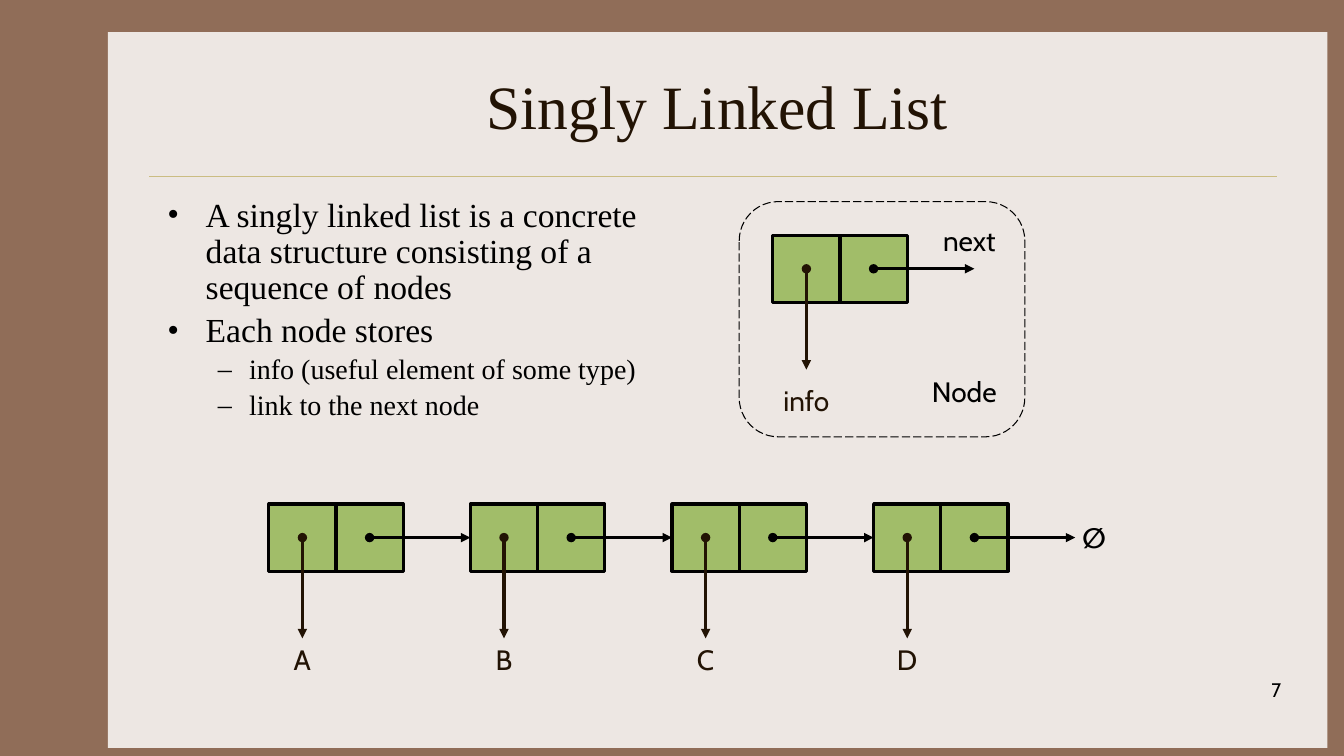
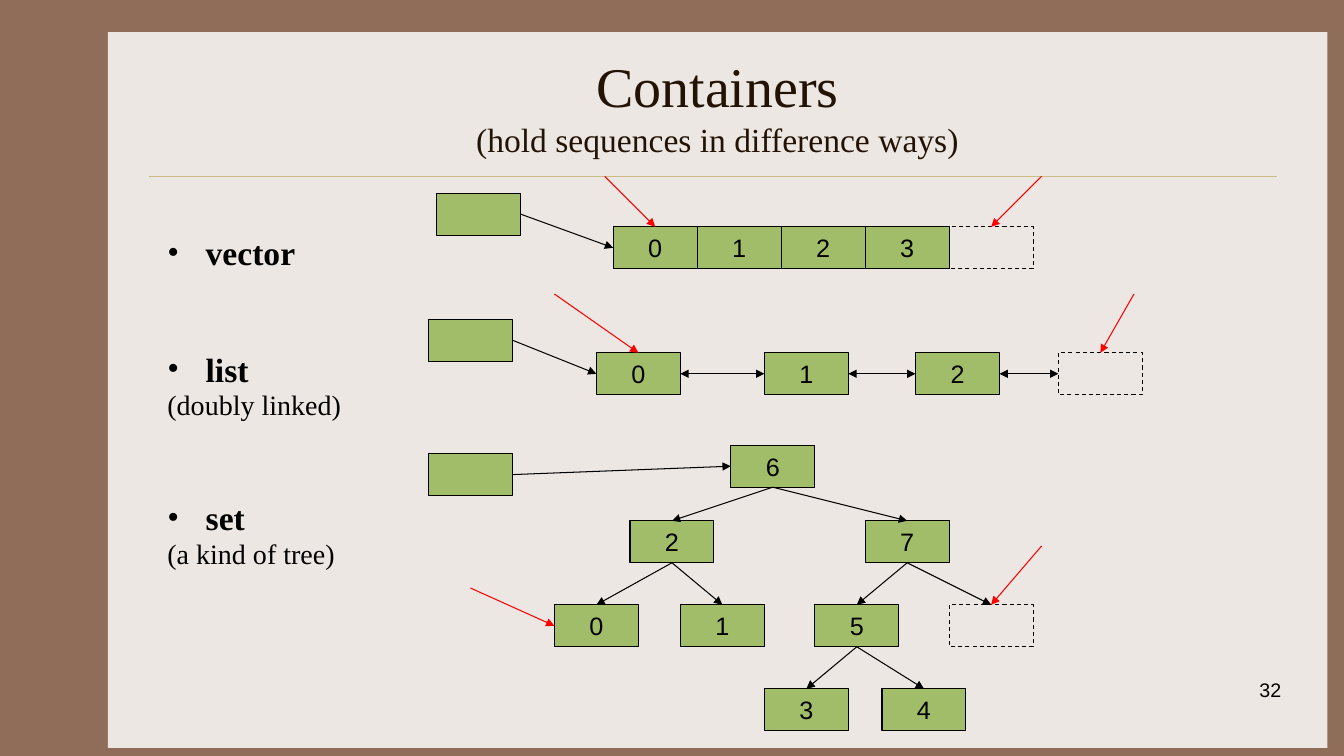
from itertools import pairwise

from lxml.etree import SubElement
from pptx import Presentation
from pptx.dml.color import RGBColor
from pptx.enum.dml import MSO_LINE
from pptx.enum.shapes import MSO_CONNECTOR, MSO_SHAPE
from pptx.enum.text import MSO_ANCHOR, PP_ALIGN
from pptx.oxml.ns import qn
from pptx.util import Inches, Pt

COLORS = {
    "frame": "906D58", "panel": "EDE7E3", "rule": "CBBD83", "title": "221304",
    "ink": "000000", "cell": "A1BD69", "iterator": "FF0000",
}
SERIF, SANS, LABEL = "Times New Roman", "Arial", "Cabin"

# The slide is a grid of 160 columns by 90 rows, twelve to the inch
COLUMNS, ROWS = 160, 90
UNIT = Inches(1) / 12
TOP, LEFT, BOTTOM, RIGHT = range(4)
TITLE_BOX = (18.75, 5, 133.33, 15)
NUMBER_BOX = (120.4, 80.1, 33.3, 6)
CELL_W, CELL_H = 10, 5
NODE_CELL = 8
LABEL_W, LABEL_H = 14, 5.2


def grid(*lengths):
    return [round(length * UNIT) for length in lengths]


def rgb(name):
    return RGBColor.from_string(COLORS[name])


# ---- Basic parts ----
def add_run(paragraph, text, size, font, color="ink", bold=False):
    run = paragraph.add_run()
    run.text = text
    run.font.size, run.font.name, run.font.bold = Pt(size), font, bold
    run.font.color.rgb = rgb(color)


def text_frame(slide, box, wrap=True):
    frame = slide.shapes.add_textbox(*grid(*box)).text_frame
    frame.word_wrap = wrap
    return frame


def add_label(slide, text, center, top, color="ink", bold=False):
    box = (center - LABEL_W / 2, top, LABEL_W, LABEL_H)
    paragraph = text_frame(slide, box, wrap=False).paragraphs[0]
    paragraph.alignment = PP_ALIGN.CENTER
    add_run(paragraph, text, 20, LABEL, color, bold)


def add_box(slide, box, fill=None, line="ink", width=0.75, dash=None,
            preset=MSO_SHAPE.RECTANGLE):
    shape = slide.shapes.add_shape(preset, *grid(*box))
    shape.shadow.inherit = False
    if fill:
        shape.fill.solid()
        shape.fill.fore_color.rgb = rgb(fill)
    else:
        shape.fill.background()
    if line:
        shape.line.color.rgb = rgb(line)
        shape.line.width = Pt(width)
        shape.line.dash_style = dash
    else:
        shape.line.fill.background()
    return shape


def add_line(slide, start, end, color="ink", width=0.75, head=None, tail="triangle"):
    """Each end is a grid point, or a shape with the side to join."""
    points = [(0, 0) if hasattr(place[0], "shape_id") else place
              for place in (start, end)]
    line = slide.shapes.add_connector(
        MSO_CONNECTOR.STRAIGHT, *grid(*points[0], *points[1]))
    for place, point, join in zip((start, end), points,
                                  (line.begin_connect, line.end_connect)):
        if place is not point:
            join(*place)
    line.line.color.rgb = rgb(color)
    line.line.width = Pt(width)
    outline = line.line._get_or_add_ln()
    for tag, kind in (("a:headEnd", head), ("a:tailEnd", tail)):
        if kind:
            SubElement(outline, qn(tag), type=kind)
    SubElement(line._element.spPr, qn("a:effectLst"))


def add_bullets(slide, box, items, spacing):
    """Items are (text, size, bullet, bold, left margin, hang, space before)."""
    frame = text_frame(slide, box)
    for index, (text, size, bullet, bold, margin, hang, before) in enumerate(items):
        paragraph = frame.add_paragraph() if index else frame.paragraphs[0]
        properties = paragraph._p.get_or_add_pPr()
        properties.set("marL", str(Inches(margin)))
        properties.set("indent", str(-Inches(hang)))
        if bullet:
            SubElement(properties, qn("a:buFont"), typeface=SERIF)
            SubElement(properties, qn("a:buChar"), char=bullet)
        else:
            SubElement(properties, qn("a:buNone"))
        paragraph.line_spacing = spacing
        paragraph.space_before = Pt(before)
        add_run(paragraph, text, size, SERIF, bold=bold)


# ---- Shared slide frame ----
def new_slide(prs, title_lines, number, number_font):
    slide = prs.slides.add_slide(prs.slide_layouts[6])
    slide.background.fill.solid()
    slide.background.fill.fore_color.rgb = rgb("frame")
    add_box(slide, (12.84, 3.84, 145.2, 85.2), "panel", line=None)
    add_line(slide, (17.75, 21), (152, 21), "rule", 0.25, tail=None)

    frame = text_frame(slide, TITLE_BOX)
    frame.vertical_anchor = MSO_ANCHOR.MIDDLE
    heading = frame.paragraphs[0]
    heading.alignment = PP_ALIGN.CENTER
    for index, (text, size) in enumerate(title_lines):
        if index:
            heading.add_line_break()
        add_run(heading, text, size, SERIF, "title")

    page = text_frame(slide, NUMBER_BOX).paragraphs[0]
    page.alignment = PP_ALIGN.RIGHT
    add_run(page, number, 14, number_font)
    return slide


# ---- Singly linked list ----
def add_node_cells(slide, col, row):
    return [add_box(slide, (col + side * NODE_CELL, row, NODE_CELL, NODE_CELL),
                    "cell", width=2.25) for side in (0, 1)]


def add_node_pointers(slide, col, row, following=None):
    info_x, next_x, middle = col + 4, col + 12, row + 4
    add_line(slide, (info_x, middle), (info_x, middle + 12), "title", 2.25, "oval")
    target = (following, LEFT) if following else (next_x + 12, middle)
    add_line(slide, (next_x, middle), target, "ink", 2.25, "oval")


def add_node_legend(slide, col, row):
    add_box(slide, (col, row, 34, 28), dash=MSO_LINE.LONG_DASH,
            preset=MSO_SHAPE.ROUNDED_RECTANGLE)
    add_node_cells(slide, col + 4, row + 4)
    add_node_pointers(slide, col + 4, row + 4)
    add_label(slide, "next", col + 27.4, row + 2)
    add_label(slide, "info", col + 8, row + 21.1, "title")
    add_label(slide, "Node", col + 26.8, row + 20)


def add_chain(slide, col, row, values, step=24):
    starts = [col + index * step for index in range(len(values))]
    info_cells = [add_node_cells(slide, start, row)[0] for start in starts]
    for start, value, following in zip(starts, values, info_cells[1:] + [None]):
        add_node_pointers(slide, start, row, following)
        add_label(slide, value, start + 4, row + 15.9, "title")
    add_label(slide, "∅", starts[-1] + 26.25, row + 1.4, bold=True)


def build_linked_list(prs):
    slide = new_slide(prs, [("Singly Linked List", 44)], "7", LABEL)
    top_level, sub_level = (0.38, 0.38), (0.81, 0.31)
    add_bullets(slide, (18.75, 23, 64.5, 33), [
        ("A singly linked list is a concrete data structure consisting of a "
         "sequence of nodes", 24, "•", False, *top_level, 0),
        ("Each node stores", 24, "•", False, *top_level, 4.8),
        ("info (useful element of some type)", 20, "–", False, *sub_level, 4),
        ("link to the next node", 20, "–", False, *sub_level, 4),
    ], 0.9)
    add_node_legend(slide, 88, 24)
    add_chain(slide, 32, 60, "ABCD")


# ---- Containers ----
def add_element(slide, col, row, value=""):
    """A filled cell; a value of None gives the dashed past-the-end cell."""
    box = (col, row, CELL_W, CELL_H)
    if value is None:
        return add_box(slide, box, dash=MSO_LINE.DASH)
    cell = add_box(slide, box, "cell")
    if value:
        frame = cell.text_frame
        frame.word_wrap = False
        frame.vertical_anchor = MSO_ANCHOR.MIDDLE
        frame.paragraphs[0].alignment = PP_ALIGN.CENTER
        add_run(frame.paragraphs[0], value, 18, SANS)
    return cell


def add_access(slide, handle_at, first, iterators):
    """The container handle and the begin and end iterators."""
    handle = add_element(slide, *handle_at)
    add_line(slide, (handle, RIGHT), (first, LEFT))
    for start, cell, side in iterators:
        add_line(slide, start, (cell, side), "iterator")


def add_vector(slide, col, row):
    cells = [add_element(slide, col + 21 + index * CELL_W, row + 6, value)
             for index, value in enumerate(["0", "1", "2", "3", None])]
    add_access(slide, (col, row + 2), cells[0], [
        ((col + 20, row), cells[0], TOP), ((col + 72, row), cells[-1], TOP)])


def add_list(slide, col, row):
    cells = [add_element(slide, col + offset, row + 7, value)
             for offset, value in ((20, "0"), (40, "1"), (58, "2"), (75, None))]
    for before, after in pairwise(cells):
        add_line(slide, (before, RIGHT), (after, LEFT), head="triangle")
    add_access(slide, (col, row + 3), cells[0], [
        ((col + 15, row), cells[0], TOP), ((col + 84, row), cells[-1], TOP)])


def add_set(slide, col, row):
    places = {"6": (36, 0), "2": (24, 9), "7": (52, 9), "0": (15, 19),
              "1": (30, 19), "5": (46, 19), None: (62, 19),
              "3": (40, 29), "4": (54, 29)}
    children = {"6": ("2", "7"), "2": ("0", "1"), "7": ("5", None), "5": ("3", "4")}
    cells = {value: add_element(slide, col + x, row + y, value)
             for value, (x, y) in places.items()}
    for parent, pair in children.items():
        for child in pair:
            add_line(slide, (cells[parent], BOTTOM), (cells[child], TOP))
    add_access(slide, (col, row + 1), cells["6"], [
        ((col + 5, row + 17), cells["0"], LEFT),
        ((col + 73, row + 12), cells[None], TOP)])


def build_containers(prs):
    slide = new_slide(prs, [("Containers", 40),
                            ("(hold sequences in difference ways)", 24)], "32", SANS)
    hanging, group_gap = (0.38, 0.38), 60
    add_bullets(slide, (18.75, 28, 133.33, 54), [
        ("vector", 24, "•", True, *hanging, 0),
        ("list", 24, "•", True, *hanging, group_gap),
        ("(doubly linked)", 20, None, False, *hanging, 4),
        ("set", 24, "•", True, *hanging, group_gap),
        ("(a kind of tree)", 20, None, False, *hanging, 4),
    ], 0.8)
    add_vector(slide, 52, 21)
    add_list(slide, 51, 35)
    add_set(slide, 51, 53)


def main():
    prs = Presentation()
    prs.slide_width, prs.slide_height = grid(COLUMNS, ROWS)
    build_linked_list(prs)
    build_containers(prs)
    prs.save("out.pptx")


if __name__ == "__main__":
    main()
